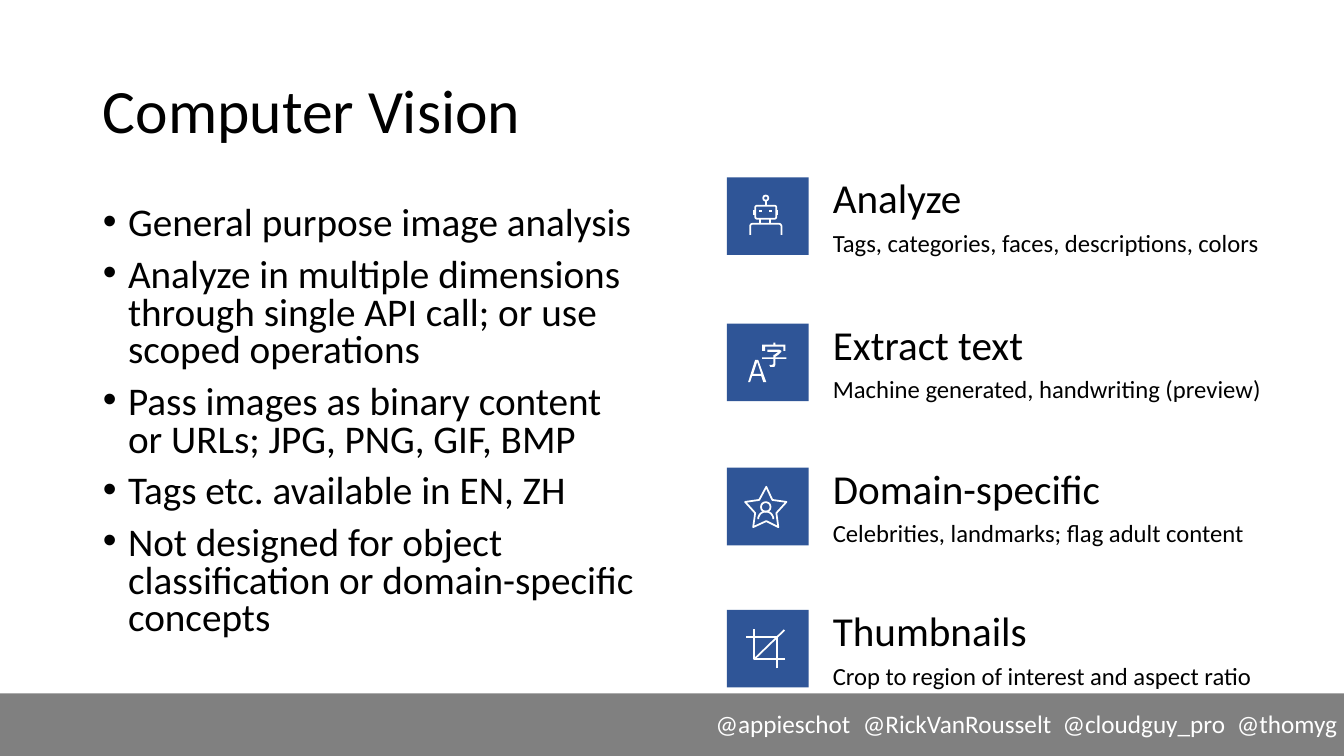
import math
from pptx import Presentation
from pptx.dml.color import RGBColor
from pptx.enum import shapes, text
from pptx.oxml import xmlchemy
from pptx.util import Inches, Pt
from lxml import etree

COLORS = {"ink": "000000", "white": "FFFFFF", "tile": "2F5597", "bar": "808080"}
UNIT = Inches(0.01)


def arc(center_x, center_y, radius, start, end):
    angles = [math.radians(start + (end - start) * step / 16) for step in range(17)]
    return [(center_x + radius * math.cos(a), center_y + radius * math.sin(a)) for a in angles]


def style(para, size, color, line_spacing=None, space_before=0):
    para.line_spacing = line_spacing
    para.space_before = Pt(space_before)
    for span in para.runs:
        span.font.name = "Calibri"
        span.font.size = Pt(size)
        span.font.color.rgb = RGBColor.from_string(COLORS[color])


deck = Presentation()
deck.slide_width, deck.slide_height = Inches(13.33), Inches(7.5)
page = deck.slides.add_slide(deck.slide_layouts[1])

bar = page.shapes.add_shape(shapes.MSO_SHAPE.RECTANGLE, 0, Inches(6.88), Inches(13.33), Inches(0.62))
bar.shadow.inherit = False
bar.fill.solid()
bar.fill.fore_color.rgb = RGBColor.from_string(COLORS["bar"])
bar.line.fill.background()

handles = [
    ("@appieschot", 7, 1.56),
    ("@RickVanRousselt", 8.46, 2.09),
    ("@cloudguy_pro", 10.44, 1.84),
    ("@thomyg", 12.17, 1.21),
]
for handle, left, width in handles:
    box = page.shapes.add_textbox(Inches(left), Inches(6.98), Inches(width), Inches(0.4))
    box.text_frame.text = handle
    box.text_frame.word_wrap = False
    box.text_frame.auto_size = text.MSO_AUTO_SIZE.SHAPE_TO_FIT_TEXT
    style(box.text_frame.paragraphs[0], 18, "white")

title = page.shapes.title
title.left, title.top, title.width, title.height = Inches(0.92), Inches(0.4), Inches(11.5), Inches(1.45)
title.text_frame.text = "Computer Vision"
title.text_frame.auto_size = text.MSO_AUTO_SIZE.NONE
title.text_frame.vertical_anchor = text.MSO_ANCHOR.MIDDLE
title.text_frame.paragraphs[0].alignment = text.PP_ALIGN.LEFT
style(title.text_frame.paragraphs[0], 44, "ink", 0.9)

points = [
    "General purpose image analysis",
    "Analyze in multiple dimensions through single API call; or use scoped operations",
    "Pass images as binary content or URLs; JPG, PNG, GIF, BMP",
    "Tags etc. available in EN, ZH",
    "Not designed for object classification or domain-specific concepts",
]
body = page.placeholders[1]
body.left, body.top, body.width, body.height = Inches(0.92), Inches(2), Inches(5.52), Inches(4.76)
body.text_frame.text = "\n".join(points)
body.text_frame.auto_size = text.MSO_AUTO_SIZE.NONE
for index, para in enumerate(body.text_frame.paragraphs):
    properties = para._p.get_or_add_pPr()
    properties.set("marL", str(Inches(0.25)))
    properties.set("indent", str(-Inches(0.25)))
    etree.SubElement(properties, xmlchemy.qn("a:buChar"), char="•")
    style(para, 28, "ink", 0.8, 10 if index else 0)

robot = [
    (arc(38.5, 20.5, 2.5, 0, 360), True),
    (arc(30, 30, 2, 180, 270) + arc(47, 30, 2, 270, 360)
     + arc(47, 39, 2, 0, 90) + arc(30, 39, 2, 90, 180), True),
    ([(23, 57)] + arc(25.5, 48.5, 2.5, 180, 270) + arc(51.5, 48.5, 2.5, 270, 360) + [(54, 57)], False),
    ([(33, 41), (33, 46)], False),
    ([(38.5, 23), (38.5, 28)], False),
    ([(43, 41), (43, 46)], False),
    ([(32, 33), (35, 33)], False),
    ([(42, 33), (45, 33)], False),
    ([(27, 32), (27, 37)], False),
    ([(50, 32), (50, 37)], False),
]
letters = [
    ([(28, 36), (21, 58), (23, 58), (25, 52), (34, 52), (36, 58), (39, 58), (31, 36)], True),
    ([(26, 50), (30, 38), (34, 50)], True),
    ([(35, 21), (46, 21), (46, 19), (48, 19), (48, 21), (58, 21), (58, 27),
      (56, 27), (56, 23), (38, 23), (38, 27), (35, 27)], True),
    ([(48, 35), (48, 41), (47, 43), (43, 43), (42, 41), (45, 41), (46, 40), (46, 35),
      (35, 35), (35, 33.5), (46, 33.5), (46, 31), (47, 31), (51, 28), (40, 28), (40, 26),
      (52, 26), (54, 27), (54, 28), (51, 31), (48, 33), (48, 33.5), (59, 33.5), (59, 35)], True),
]
star = [
    ([(32, 32), (39, 19), (45, 32), (59, 34), (49, 45), (51, 59),
      (39, 53), (26, 59), (28, 45), (18, 34)], True),
    (arc(38.5, 39, 4.75, 0, 360), True),
    (arc(38.5, 51, 7.5, 180, 360), False),
]
crop = [
    ([(58, 49), (27, 49), (27, 19)], False),
    ([(57, 20), (27, 49)], False),
    ([(19, 27), (50, 27)], False),
    ([(50, 58), (50, 27)], False),
]

features = [
    ("Analyze", "Tags, categories, faces, descriptions, colors", 1.76, 1.26, robot),
    ("Extract text", "Machine generated, handwriting (preview)", 3.21, 0.99, letters),
    ("Domain-specific", "Celebrities, landmarks; flag adult content", 4.64, 0.99, star),
    ("Thumbnails", "Crop to region of interest and aspect ratio", 6.05, 0.99, crop),
]
for heading, detail, top, height, strokes in features:
    group = page.shapes.add_group_shape()
    tile = group.shapes.add_shape(
        shapes.MSO_SHAPE.RECTANGLE, Inches(7.21), Inches(top), Inches(0.81), Inches(0.77))
    tile.shadow.inherit = False
    tile.fill.solid()
    tile.fill.fore_color.rgb = RGBColor.from_string(COLORS["tile"])
    tile.line.fill.background()

    box = group.shapes.add_textbox(Inches(8.1), Inches(top - 0.09), Inches(4.94), Inches(height))
    frame = box.text_frame
    frame.text = f"{heading}\n{detail}"
    frame.word_wrap = True
    frame.auto_size = text.MSO_AUTO_SIZE.SHAPE_TO_FIT_TEXT
    frame.margin_left = frame.margin_right = Inches(0.16)
    frame.margin_top = frame.margin_bottom = Inches(0.1)
    style(frame.paragraphs[0], 29.4, "ink", 0.9)
    style(frame.paragraphs[1], 17.6, "ink", 0.9, 6.1)

    builder = None
    for outline, closed in strokes:
        vertices = [(x * 10, y * 10) for x, y in outline]
        if builder is None:
            builder = group.shapes.build_freeform(*vertices[0], scale=UNIT / 10)
        else:
            builder.move_to(*vertices[0])
        builder.add_line_segments(vertices[1:], close=closed)
    icon = builder.convert_to_shape(Inches(7.21), Inches(top))
    icon.shadow.inherit = False
    if strokes is letters:
        icon.fill.solid()
        icon.fill.fore_color.rgb = RGBColor.from_string(COLORS["white"])
        icon.line.fill.background()
    else:
        icon.fill.background()
        icon.line.color.rgb = RGBColor.from_string(COLORS["white"])
        icon.line.width = Pt(1.25)

deck.save("out.pptx")
